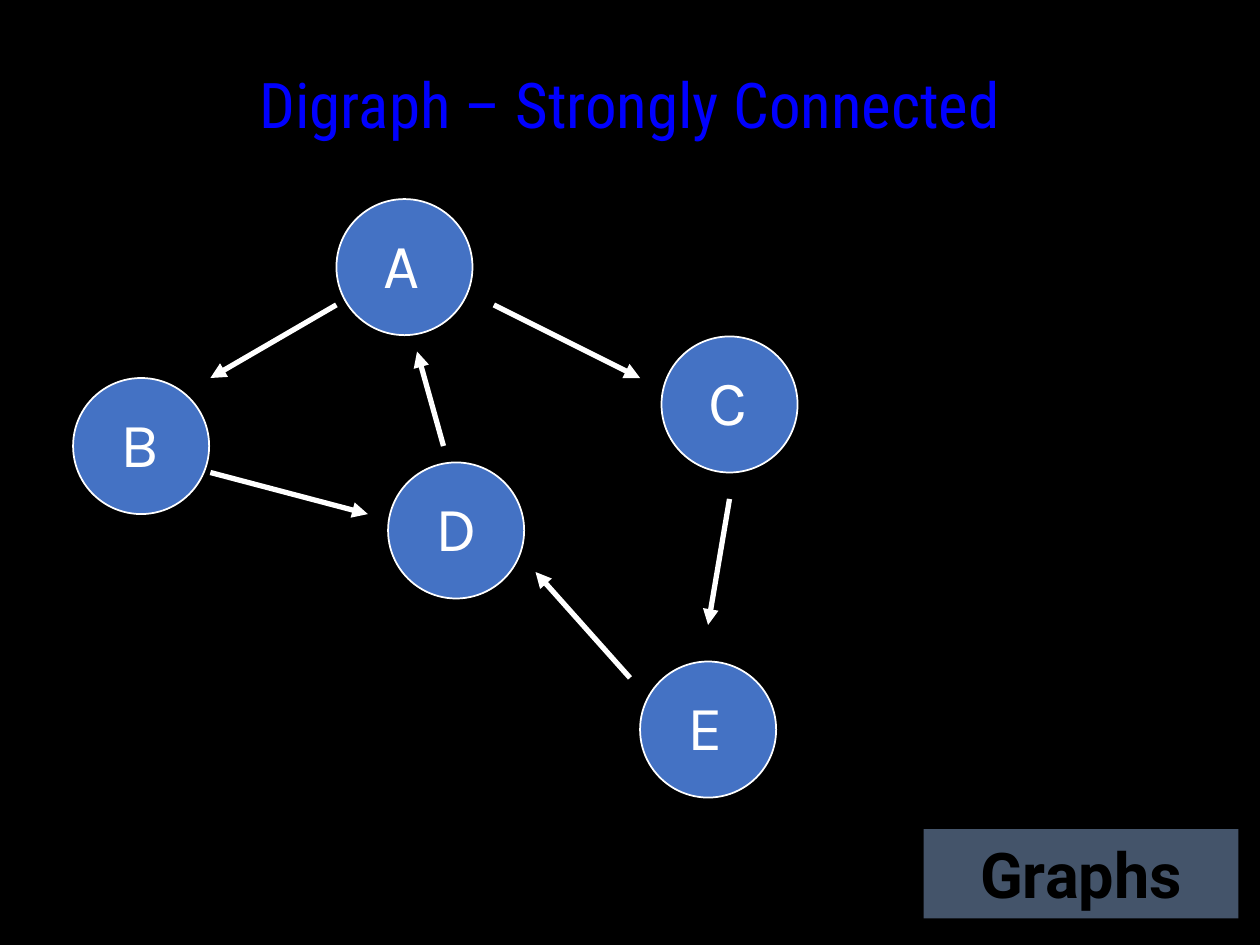
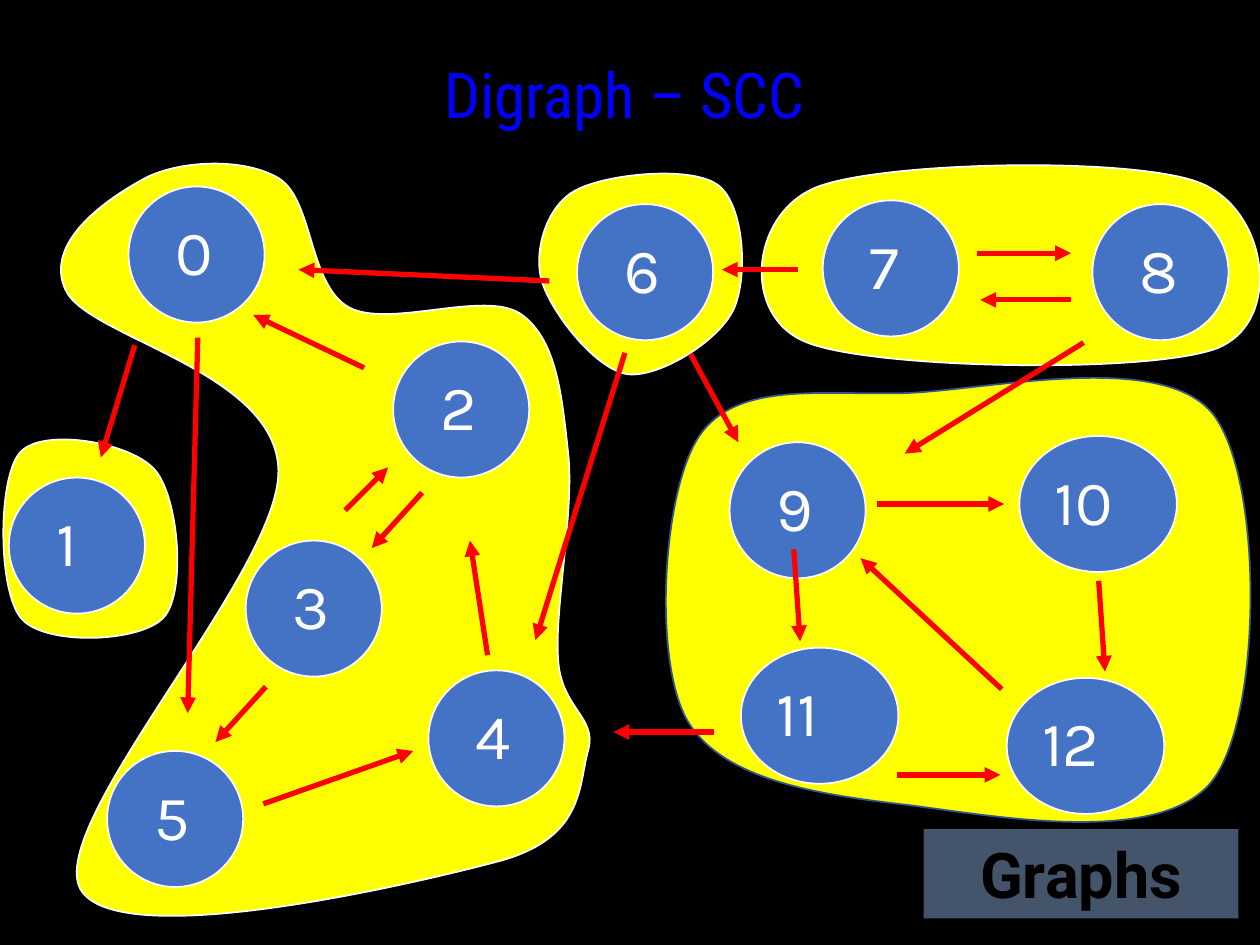
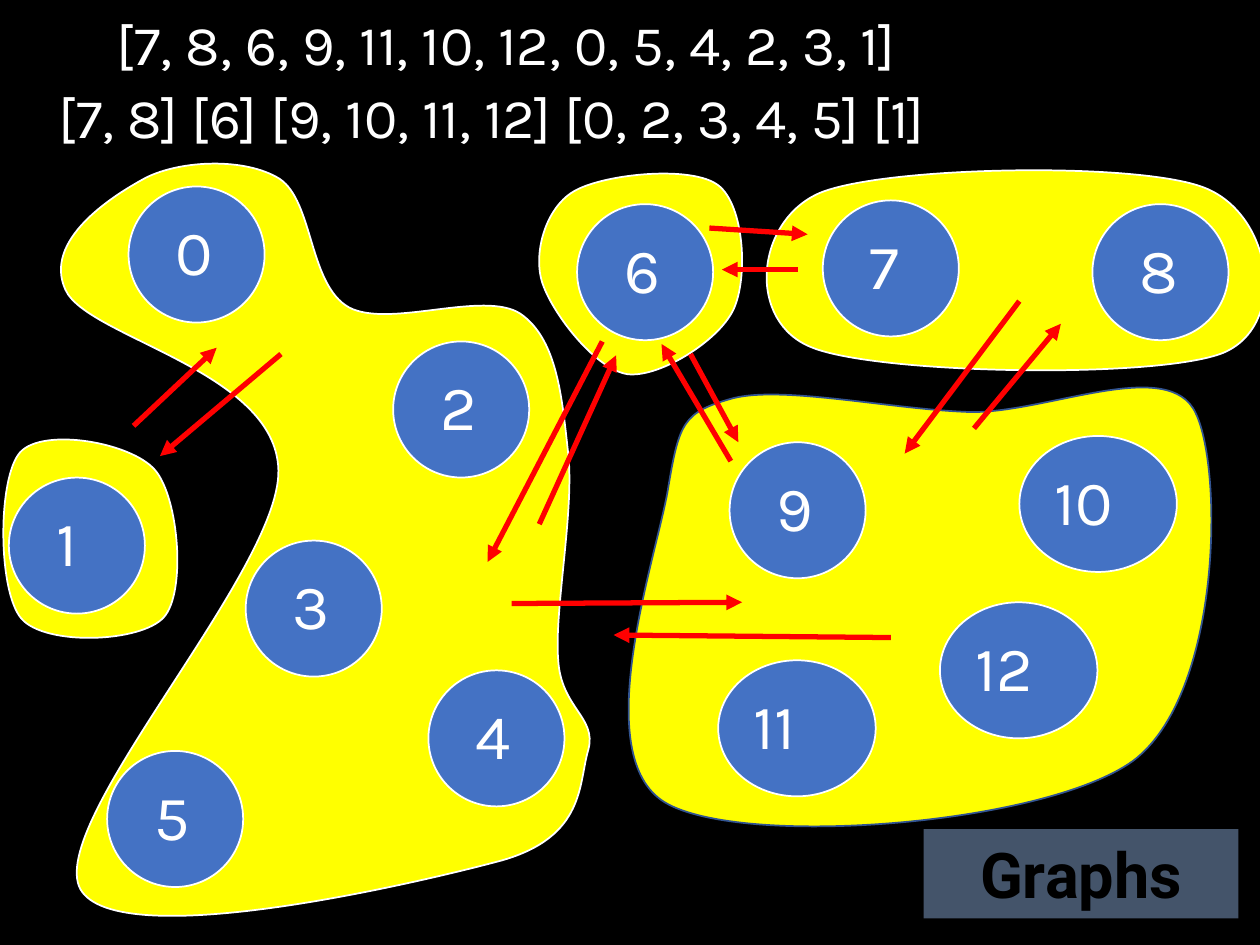
from dataclasses import dataclass
from typing import NamedTuple

from lxml import etree
from pptx import Presentation, util as u
from pptx.dml.color import RGBColor
from pptx.enum import shapes, text
from pptx.oxml import ns

BLACK = RGBColor(0x00, 0x00, 0x00)
WHITE = RGBColor(0xFF, 0xFF, 0xFF)
RED = RGBColor(0xFF, 0x00, 0x00)
YELLOW = RGBColor(0xFF, 0xFF, 0x00)
TITLE_BLUE = RGBColor(0x00, 0x00, 0xFF)
NODE_BLUE = RGBColor(0x44, 0x72, 0xC4)
EDGE_BLUE = RGBColor(0x32, 0x54, 0x91)
SLATE = RGBColor(0x44, 0x54, 0x6A)

BODY_FONT, BAND_FONT, TITLE_FONT = "Karla", "Roboto", "Roboto Condensed"

# The slide is a grid of 10 columns by 7.5 rows.
SLIDE_WIDTH, SLIDE_HEIGHT = u.Inches(10), u.Inches(7.5)
COLUMN, ROW = SLIDE_WIDTH / 10, SLIDE_HEIGHT / 7.5
NODE_SIZE, WIDE_NODE = 1.08, 1.25


class Box(NamedTuple):
    col: float
    row: float
    cols: float
    rows: float


class Node(NamedTuple):
    label: str
    col: float
    row: float
    cols: float = NODE_SIZE


class Arrow(NamedTuple):
    col: float
    row: float
    to_col: float
    to_row: float


@dataclass(frozen=True)
class Component:
    """A closed outline of cubic curves: two control points and an end each.

    The outline starts where its last curve ends.
    """
    bounds: Box
    curves: tuple[tuple[float, ...], ...]
    edge: RGBColor = WHITE

    def shifted(self, step: float) -> "Component":
        col, row, cols, rows = self.bounds
        return Component(Box(col + step, row + step, cols, rows),
                         tuple(tuple(v + step for v in curve) for curve in self.curves),
                         self.edge)


def emu(col: float, row: float) -> tuple[int, int]:
    return round(col * COLUMN), round(row * ROW)


def place(box: Box) -> tuple[int, int, int, int]:
    return emu(box.col, box.row) + emu(box.cols, box.rows)


def move(shape, box: Box) -> None:
    shape.left, shape.top, shape.width, shape.height = place(box)


def write(shape, wording: str, font: str, size: int, colour: RGBColor,
          align=text.PP_ALIGN.LEFT, wrap: bool = True, bold: bool = False):
    frame = shape.text_frame
    frame.text = wording
    frame.word_wrap = wrap
    frame.vertical_anchor = text.MSO_ANCHOR.TOP
    frame.paragraphs[0].alignment = align
    run = frame.paragraphs[0].runs[0]
    run.font.name, run.font.size, run.font.bold = font, u.Pt(size), bold
    run.font.color.rgb = colour
    return run


def paint(shape, fill: RGBColor, edge: RGBColor | None = None) -> None:
    shape.shadow.inherit = False
    shape.fill.solid()
    shape.fill.fore_color.rgb = fill
    if edge is None:
        shape.line.fill.background()
    else:
        shape.line.color.rgb = edge
        shape.line.width = u.Pt(1)


def add_title(slide, wording: str, box: Box) -> None:
    title = slide.shapes.title
    move(title, box)
    run = write(title, wording, TITLE_FONT, 36, TITLE_BLUE,
                text.PP_ALIGN.CENTER, wrap=False)
    outline = etree.Element(ns.qn("a:ln"), w=str(u.Pt(0.75)))
    fill = etree.SubElement(outline, ns.qn("a:solidFill"))
    etree.SubElement(fill, ns.qn("a:srgbClr"), val=str(YELLOW))
    run.font._element.insert(0, outline)


def add_master_band(master, slide) -> None:
    """Draw the topic band and move it to the master, which all slides share."""
    band = slide.shapes.add_shape(shapes.MSO_SHAPE.RECTANGLE,
                                  *place(Box(7.33, 6.58, 2.5, 0.71)))
    paint(band, SLATE)
    write(band, "Graphs", BAND_FONT, 36, BLACK, text.PP_ALIGN.CENTER, bold=True)
    band.element.nvSpPr.cNvPr.id = 100
    master.element.cSld.spTree.append(band.element)


def add_node(slide, node: Node) -> None:
    circle = slide.shapes.add_shape(
        shapes.MSO_SHAPE.OVAL, *place(Box(node.col, node.row, node.cols, NODE_SIZE)))
    paint(circle, NODE_BLUE, WHITE)
    write(circle, node.label, BODY_FONT, 36, WHITE)


def add_arrow(slide, arrow: Arrow, colour: RGBColor) -> None:
    edge = slide.shapes.add_connector(
        shapes.MSO_CONNECTOR.STRAIGHT,
        *emu(arrow.col, arrow.row), *emu(arrow.to_col, arrow.to_row))
    edge.line.color.rgb = colour
    edge.line.width = u.Pt(3)
    etree.SubElement(edge.line._get_or_add_ln(), ns.qn("a:tailEnd"), type="triangle")
    etree.SubElement(edge.element.spPr, ns.qn("a:effectLst"))


def bend(shape, component: Component) -> None:
    """Turn the straight sides of a freeform into the component's curves."""
    bounds = component.bounds
    move(shape, bounds)
    width, height = emu(bounds.cols, bounds.rows)
    route = shape.element.find(".//" + ns.qn("a:path"))
    for side in list(route):
        route.remove(side)
    route.set("w", str(width))
    route.set("h", str(height))

    def add_step(tag: str, values: tuple[float, ...]) -> None:
        step = etree.SubElement(route, ns.qn(tag))
        for col, row in zip(values[::2], values[1::2]):
            x, y = emu(col - bounds.col, row - bounds.row)
            etree.SubElement(step, ns.qn("a:pt"), x=str(x), y=str(y))

    add_step("a:moveTo", component.curves[-1][-2:])
    for curve in component.curves:
        add_step("a:cubicBezTo", curve)
    etree.SubElement(route, ns.qn("a:close"))


def add_component(slide, component: Component) -> None:
    corners = [emu(*curve[-2:]) for curve in component.curves]
    builder = slide.shapes.build_freeform(*corners[-1])
    builder.add_line_segments(corners, close=True)
    outline = builder.convert_to_shape()
    bend(outline, component)
    paint(outline, YELLOW, component.edge)


def add_graph(slide, nodes: list[Node], arrows: list[Arrow], colour: RGBColor,
              components: tuple[Component, ...] = ()) -> None:
    for component in components:
        add_component(slide, component)
    for node in nodes:
        add_node(slide, node)
    for arrow in arrows:
        add_arrow(slide, arrow, colour)


def add_order(slide, wording: str, box: Box) -> None:
    order = slide.shapes.add_textbox(*place(box))
    write(order, wording, BODY_FONT, 32, WHITE)


LETTER_NODES = [
    Node(" A", 2.67, 1.58), Node(" B", 0.58, 3), Node(" D", 3.08, 3.67),
    Node(" C", 5.25, 2.67), Node(" E", 5.08, 5.25),
]
LETTER_ARROWS = [
    Arrow(3.92, 2.42, 5.08, 3), Arrow(2.67, 2.42, 1.67, 3),
    Arrow(1.67, 3.75, 2.92, 4.08), Arrow(3.52, 3.54, 3.31, 2.79),
    Arrow(5, 5.38, 4.25, 4.54), Arrow(5.79, 3.96, 5.62, 4.96),
]

SHARED_NODES = [
    Node(" 0", 1.02, 1.48), Node(" 1", 0.07, 3.79), Node(" 5", 0.85, 5.96),
    Node(" 6", 4.58, 1.62), Node(" 4", 3.4, 5.32), Node(" 3", 1.95, 4.29),
    Node(" 2", 3.12, 2.71), Node(" 7", 6.53, 1.59), Node(" 8", 8.67, 1.62),
    Node(" 9", 5.79, 3.51), Node("10", 8.09, 3.46, WIDE_NODE),
]
SCC_NODES = [Node("11", 5.88, 5.14, WIDE_NODE), Node("12", 7.99, 5.38, WIDE_NODE)]
ORDER_NODES = [Node("11", 5.7, 5.24, WIDE_NODE), Node("12", 7.46, 4.78, WIDE_NODE)]

SHARED_ARROWS = [Arrow(5.48, 2.81, 5.86, 3.51), Arrow(6.33, 2.14, 5.73, 2.14)]
SCC_ARROWS = [
    Arrow(4.36, 2.23, 2.37, 2.14), Arrow(1.07, 2.74, 0.8, 3.63),
    Arrow(1.57, 2.68, 1.49, 5.66), Arrow(2.89, 2.92, 2.01, 2.5),
    Arrow(4.96, 2.8, 4.25, 5.08), Arrow(3.87, 5.2, 3.73, 4.29),
    Arrow(3.35, 3.91, 2.95, 4.35), Arrow(2.74, 4.05, 3.08, 3.71),
    Arrow(2.11, 5.45, 1.71, 5.89), Arrow(7.75, 2.01, 8.5, 2.01),
    Arrow(8.5, 2.38, 7.78, 2.38), Arrow(8.6, 2.72, 7.18, 3.6),
    Arrow(7.95, 5.47, 6.83, 4.43), Arrow(6.96, 4, 7.97, 4),
    Arrow(7.12, 6.15, 7.94, 6.15), Arrow(6.3, 4.36, 6.35, 5.09),
    Arrow(8.72, 4.61, 8.77, 5.33), Arrow(5.67, 5.81, 4.87, 5.81),
    Arrow(2.09, 6.38, 3.28, 5.96),
]
ORDER_ARROWS = [
    Arrow(8.09, 2.39, 7.18, 3.6), Arrow(7.07, 5.06, 4.87, 5.04),
    Arrow(2.23, 2.81, 1.27, 3.62), Arrow(4.78, 2.71, 3.87, 4.46),
    Arrow(7.73, 3.4, 8.42, 2.57), Arrow(4.28, 4.16, 4.89, 2.82),
    Arrow(4.06, 4.79, 5.89, 4.78), Arrow(5.8, 3.66, 5.25, 2.73),
    Arrow(5.63, 1.81, 6.41, 1.86), Arrow(1.06, 3.38, 1.72, 2.76),
]

SCC_9_TO_12 = Component(Box(5.29, 3, 4.64, 3.53), (
    (5.85, 3.02, 6.52, 3.14, 7.2, 3.12),
    (7.88, 3.09, 9.23, 2.78, 9.63, 3.29),
    (10.03, 3.81, 10.02, 5.69, 9.62, 6.2),
    (9.21, 6.72, 7.91, 6.48, 7.21, 6.39),
    (6.52, 6.31, 5.73, 6.2, 5.45, 5.71),
    (5.18, 5.22, 5.26, 3.89, 5.55, 3.46)), EDGE_BLUE)
ORDER_9_TO_12 = Component(Box(4.99, 3.07, 4.62, 3.49), (
    (5.39, 3.35, 5.42, 3.27, 5.82, 3.16),
    (6.22, 3.06, 7.08, 3.25, 7.7, 3.27),
    (8.31, 3.28, 9.28, 2.82, 9.49, 3.28),
    (9.71, 3.74, 9.69, 5.52, 8.99, 6.04),
    (8.28, 6.55, 5.89, 6.73, 5.28, 6.37),
    (4.66, 6, 5.21, 4.42, 5.3, 3.89)), EDGE_BLUE)
PAIR_7_8 = Component(Box(6.04, 1.31, 3.96, 1.59), (
    (6.98, 1.28, 8.99, 1.24, 9.52, 1.45),
    (10.06, 1.66, 10.19, 2.54, 9.67, 2.76),
    (9.15, 2.97, 6.94, 2.93, 6.41, 2.72),
    (5.88, 2.52, 5.95, 1.71, 6.47, 1.49)))
SINGLE_6 = Component(Box(4.28, 1.38, 1.61, 1.59), (
    (4.81, 1.38, 5.49, 1.31, 5.7, 1.47),
    (5.91, 1.63, 5.94, 2.21, 5.82, 2.46),
    (5.7, 2.71, 5.23, 3, 4.98, 2.97),
    (4.72, 2.93, 4.37, 2.47, 4.3, 2.23),
    (4.23, 1.99, 4.34, 1.63, 4.57, 1.51)))
GROUP_0_TO_5 = Component(Box(0.48, 1.3, 4.2, 5.97), (
    (1.44, 1.27, 1.95, 1.25, 2.22, 1.42),
    (2.49, 1.6, 2.45, 2.26, 2.77, 2.44),
    (3.09, 2.61, 3.84, 2.3, 4.13, 2.49),
    (4.42, 2.69, 4.46, 3.14, 4.51, 3.6),
    (4.56, 4.05, 4.4, 4.84, 4.43, 5.23),
    (4.45, 5.62, 4.74, 5.69, 4.67, 5.95),
    (4.59, 6.22, 4.65, 6.64, 3.98, 6.83),
    (3.31, 7.01, 0.94, 7.57, 0.64, 7.06),
    (0.35, 6.54, 2.23, 4.53, 2.21, 3.73),
    (2.19, 2.94, 0.69, 2.68, 0.52, 2.3),
    (0.34, 1.91, 0.88, 1.56, 1.16, 1.41)))
SINGLE_1 = Component(Box(0.03, 3.49, 1.38, 1.57), (
    (0.34, 3.39, 1.04, 3.51, 1.23, 3.73),
    (1.42, 3.95, 1.48, 4.7, 1.3, 4.9),
    (1.12, 5.1, 0.36, 5.13, 0.17, 4.91),
    (-0.02, 4.69, -0.02, 3.79, 0.16, 3.59)))
SHARED_COMPONENTS = (SINGLE_6, GROUP_0_TO_5, SINGLE_1)


def main() -> None:
    deck = Presentation()
    deck.slide_width, deck.slide_height = SLIDE_WIDTH, SLIDE_HEIGHT
    title_only, blank = deck.slide_layouts[5], deck.slide_layouts[6]
    background = deck.slide_master.background.fill
    background.solid()
    background.fore_color.rgb = BLACK

    strongly_connected = deck.slides.add_slide(title_only)
    add_master_band(deck.slide_master, strongly_connected)
    add_title(strongly_connected, "Digraph – Strongly Connected",
              Box(1.25, 0.47, 7.5, 0.92))
    add_graph(strongly_connected, LETTER_NODES, LETTER_ARROWS, WHITE)

    scc = deck.slides.add_slide(title_only)
    add_title(scc, "Digraph – SCC", Box(0.33, 0.39, 9.25, 0.92))
    add_graph(scc, SHARED_NODES + SCC_NODES, SHARED_ARROWS + SCC_ARROWS, RED,
              (SCC_9_TO_12, PAIR_7_8) + SHARED_COMPONENTS)

    order = deck.slides.add_slide(blank)
    add_graph(order, SHARED_NODES + ORDER_NODES, SHARED_ARROWS + ORDER_ARROWS, RED,
              (ORDER_9_TO_12, PAIR_7_8.shifted(0.04)) + SHARED_COMPONENTS)
    add_order(order, "[7, 8, 6, 9, 11, 10, 12, 0, 5, 4, 2, 3, 1]",
              Box(0.83, 0.03, 9.31, 0.64))
    add_order(order, "[7, 8] [6] [9, 10, 11, 12] [0, 2, 3, 4, 5] [1]",
              Box(0.37, 0.61, 9.5, 0.64))

    deck.save("out.pptx")


if __name__ == "__main__":
    main()
